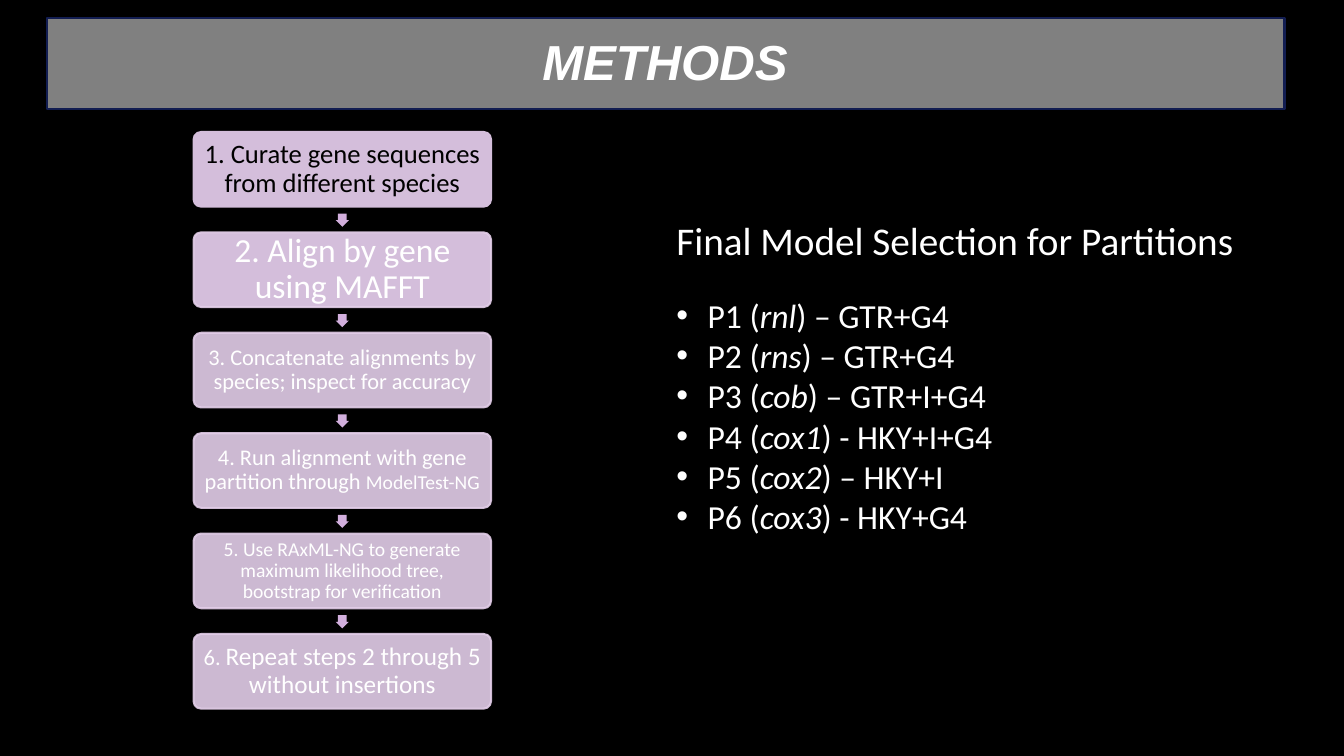
"""Build the METHODS slide: a six-step flow beside the model list."""
from pptx import Presentation
from pptx import util as u
from pptx.dml.color import RGBColor
from pptx.enum import shapes, text
from pptx.oxml import parse_xml
from pptx.oxml.ns import nsdecls, qn

KIND = shapes.MSO_SHAPE
ALIGN = text.PP_ALIGN


def paint(fill, tone, clear=None):
    fill.solid()
    fill.fore_color.rgb = RGBColor.from_string(tone)
    if clear:
        tag = parse_xml(f'<a:alpha {nsdecls("a")} val="{clear * 1000}"/>')
        fill._xPr.find(qn("a:solidFill"))[0].append(tag)


def write(para, words, size=24, tone="FFFFFF", face="Calibri", bold=False, slant=False):
    run = para.add_run()
    run.text = words
    font = run.font
    font.size, font.name, font.bold, font.italic = u.Pt(size), face, bold, slant
    paint(font.fill, tone)


deck = Presentation()
deck.slide_width, deck.slide_height = u.Inches(13.33), u.Inches(7.5)
slide = deck.slides.add_slide(deck.slide_layouts[6])
paint(slide.background.fill, "000000")

steps = [
    [("1. Curate gene sequences from different species", 19)],
    [("2. Align by gene using MAFFT", 24)],
    [("3. Concatenate alignments by species; inspect for accuracy", 16)],
    [("4. Run alignment with gene partition through ", 16), ("ModelTest-NG", 14)],
    [("5. Use RAxML-NG to generate maximum likelihood tree, bootstrap for verification", 14)],
    [("6. ", 16), ("Repeat steps 2 through 5 without insertions", 18)],
]
pitch = 0.996
for i, parts in enumerate(steps):
    top = 1.31 + i * pitch
    box = slide.shapes.add_shape(
        KIND.ROUNDED_RECTANGLE, u.Inches(1.92), u.Inches(top), u.Inches(2.95), u.Inches(0.74))
    box.adjustments[0] = 0.1
    box.shadow.inherit = False
    if i < 2:
        paint(box.fill, "D4BEDB")
    else:
        paint(box.fill, "E3CEE9", 90)
    if i == 0:
        paint(box.line.fill, "D4BEDB")
    else:
        paint(box.line.fill, "E3CEE9", 90)
    box.line.width = u.Pt(1.5)
    frame = box.text_frame
    frame.word_wrap = True
    frame.vertical_anchor = text.MSO_ANCHOR.MIDDLE
    pad = u.Inches(0.05 if i < 2 else 0.04)
    frame.margin_left = frame.margin_right = frame.margin_top = frame.margin_bottom = pad
    para = frame.paragraphs[0]
    para.alignment, para.line_spacing = ALIGN.CENTER, 0.9
    for words, size in parts:
        write(para, words, size=size, tone="FFFFFF" if i else "000000")

    if i < len(steps) - 1:
        arrow = slide.shapes.add_shape(
            KIND.RIGHT_ARROW, u.Inches(3.33), u.Inches(top + 0.81), u.Inches(0.13), u.Inches(0.13))
        arrow.rotation = 90
        arrow.adjustments[0] = 0.667
        arrow.shadow.inherit = False
        paint(arrow.fill, "D2AFDD")
        arrow.line.fill.background()

band = slide.shapes.add_shape(
    KIND.RECTANGLE, u.Inches(0.47), u.Inches(0.18), u.Inches(12.27), u.Inches(0.9))
band.shadow.inherit = False
paint(band.fill, "808080")
paint(band.line.fill, "121D51")
band.line.width = u.Pt(1.5)

title = slide.shapes.add_textbox(u.Inches(5.28), u.Inches(0.26), u.Inches(2.78), u.Inches(0.88))
title.text_frame.word_wrap = True
write(title.text_frame.paragraphs[0], "METHODS", size=35.1, face="Arial", bold=True, slant=True)

models = [
    ("rnl", "– GTR+G4"), ("rns", "– GTR+G4"), ("cob", "– GTR+I+G4"),
    ("cox1", "- HKY+I+G4"), ("cox2", "– HKY+I"), ("cox3", "- HKY+G4"),
]
panel = slide.shapes.add_textbox(u.Inches(6.61), u.Inches(2.1), u.Inches(5.86), u.Inches(3.3))
frame = panel.text_frame
frame.word_wrap = True
head = frame.paragraphs[0]
head.space_after = u.Pt(22)
write(head, "Final Model Selection for Partitions", size=28)
for n, (gene, model) in enumerate(models, 1):
    para = frame.add_paragraph()
    props = para._p.get_or_add_pPr()
    props.set("marL", str(u.Inches(0.31)))
    props.set("indent", str(u.Inches(-0.31)))
    props.append(parse_xml(f'<a:buFont {nsdecls("a")} typeface="Arial"/>'))
    props.append(parse_xml(f'<a:buChar {nsdecls("a")} char="•"/>'))
    write(para, f"P{n} (")
    write(para, gene, slant=True)
    write(para, f") {model}")

deck.save("out.pptx")
